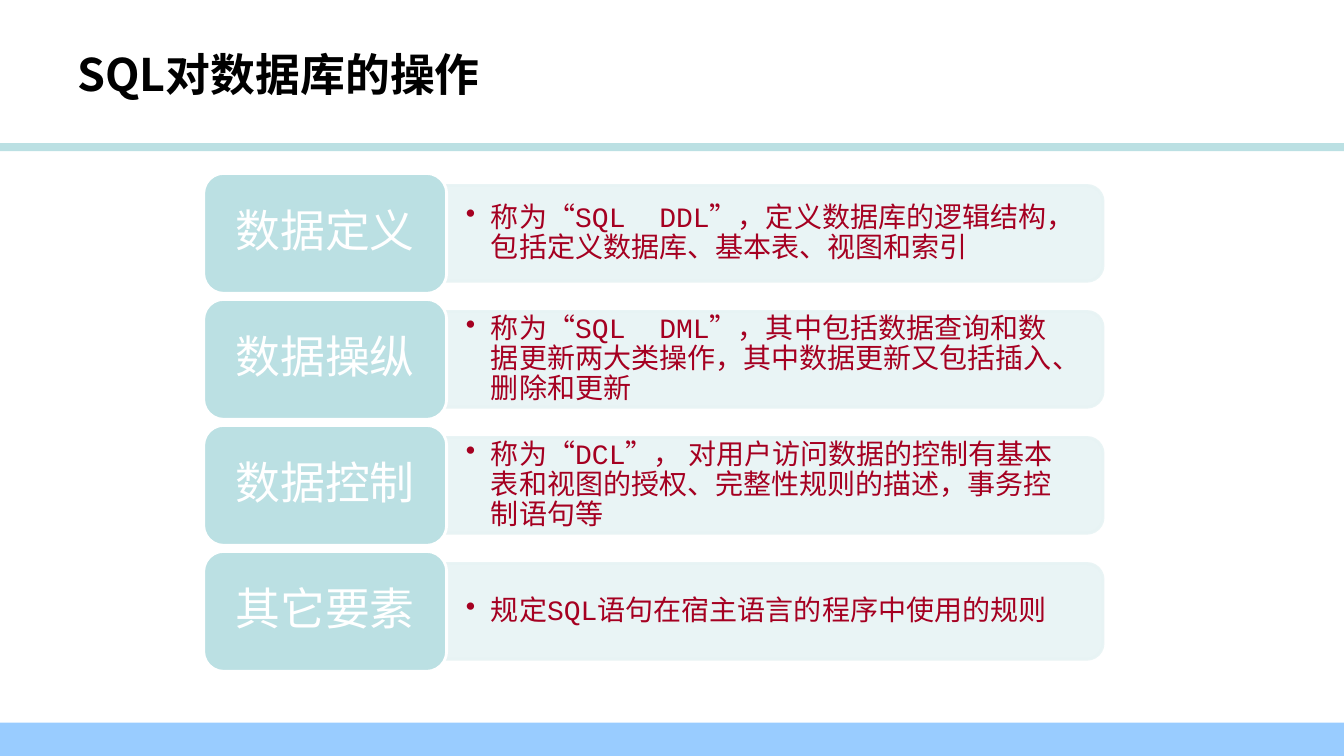
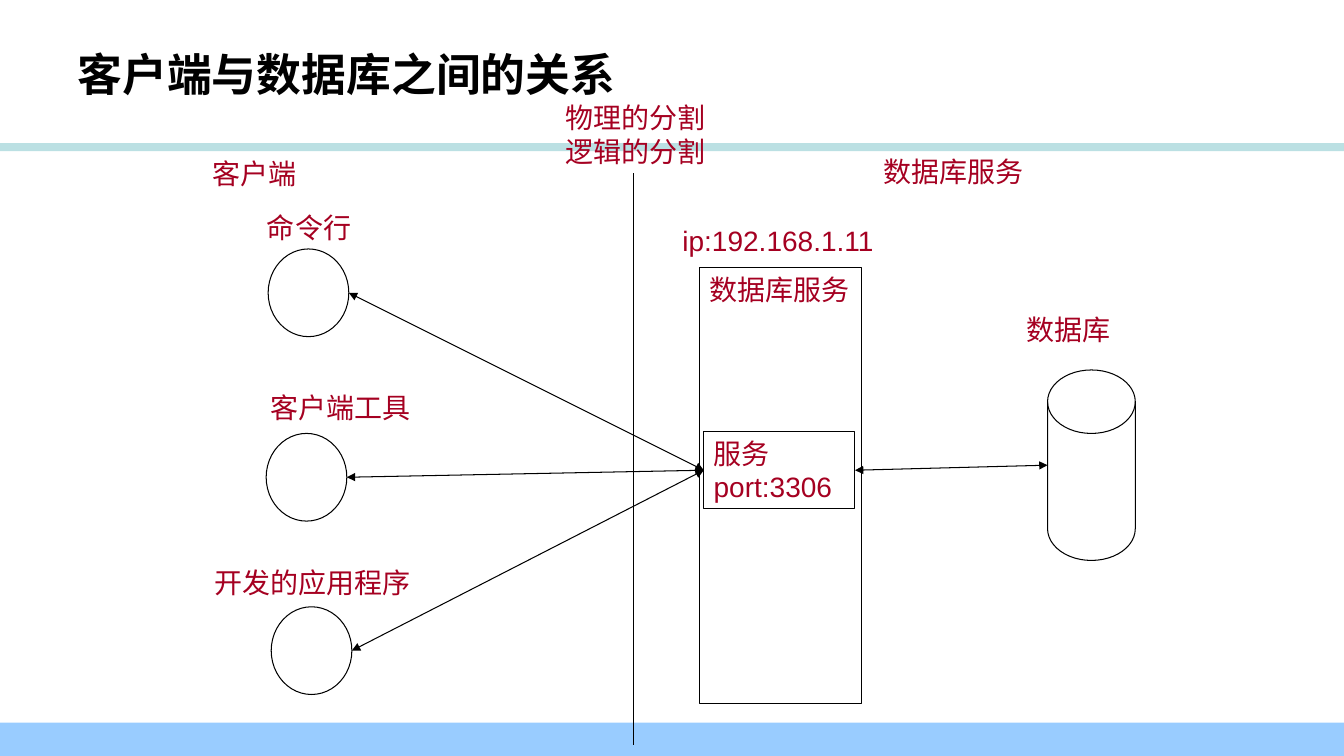
from lxml import etree
from pptx import Presentation
from pptx.dml.color import RGBColor
from pptx.enum import shapes, text
from pptx.oxml import ns
from pptx.util import Inches, Pt

BLACK = RGBColor(0x00, 0x00, 0x00)
WHITE = RGBColor(0xFF, 0xFF, 0xFF)
CRIMSON = RGBColor(0xA5, 0x00, 0x21)
TEAL = RGBColor(0xBB, 0xE0, 0xE3)
PALE_TEAL = RGBColor(0xE7, 0xF3, 0xF4)
SKY = RGBColor(0x99, 0xCC, 0xFF)

CJK = "Noto Sans CJK SC"
LATIN = "Arial"
MONO = "Courier New"
SHAPE = shapes.MSO_SHAPE

OPERATIONS = [
    ("数据定义", "称为“SQL  DDL”，定义数据库的逻辑结构，包括定义数据库、基本表、视图和索引"),
    ("数据操纵", "称为“SQL  DML”，其中包括数据查询和数据更新两大类操作，其中数据更新又包括插入、删除和更新"),
    ("数据控制", "称为“DCL”， 对用户访问数据的控制有基本表和视图的授权、完整性规则的描述，事务控制语句等"),
    ("其它要素", "规定SQL语句在宿主语言的程序中使用的规则"),
]

CLIENTS = [
    ("命令行", (2.55, 2.04, 1.04), (2.66, 2.47)),
    ("客户端工具", (2.58, 3.83, 1.6), (2.64, 4.3)),
    ("开发的应用程序", (2.03, 5.56, 2.17), (2.69, 6.02)),
]

CAPTIONS = [
    ("客户端", 2.01, 1.5, 1.04, 0.44),
    ("数据库服务", 8.66, 1.48, 1.6, 0.44),
    ("物理的分割\n逻辑的分割", 5.51, 0.95, 1.6, 0.77),
    ("数据库", 10.08, 3.05, 1.04, 0.44),
    ("ip:192.168.1.11", 6.67, 2.17, 2.1, 0.44),
]


def write(frame, words, size=20, color=CRIMSON, font=LATIN, bold=False,
          align=text.PP_ALIGN.LEFT, anchor=text.MSO_ANCHOR.TOP, wrap=True):
    frame.text = words
    frame.word_wrap = wrap
    frame.vertical_anchor = anchor
    for paragraph in frame.paragraphs:
        paragraph.alignment = align
        for run in paragraph.runs:
            run.font.size = Pt(size)
            run.font.bold = bold
            run.font.name = font
            run.font.color.rgb = color
            east_asian = etree.Element(ns.qn("a:ea"), typeface=CJK)
            run.font._element.find(ns.qn("a:latin")).addnext(east_asian)


def add_text(slide, words, left, top, width, height, **style):
    box = slide.shapes.add_textbox(Inches(left), Inches(top), Inches(width), Inches(height))
    write(box.text_frame, words, **style)
    return box


def add_block(slide, kind, left, top, width, height, fill=None, line=None, weight=0.75):
    block = slide.shapes.add_shape(kind, Inches(left), Inches(top), Inches(width), Inches(height))
    block.shadow.inherit = False
    if fill is None:
        block.fill.background()
    else:
        block.fill.solid()
        block.fill.fore_color.rgb = fill
    if line is None:
        block.line.fill.background()
    else:
        block.line.color.rgb = line
        block.line.width = Pt(weight)
    return block


def add_line(slide, start, end, arrows=True):
    link = slide.shapes.add_connector(
        shapes.MSO_CONNECTOR.STRAIGHT, *(Inches(length) for length in (*start, *end)))
    link.line.color.rgb = BLACK
    link.line.width = Pt(0.75)
    properties = link._element.spPr
    if arrows:
        outline = properties.find(ns.qn("a:ln"))
        for tip in ("a:headEnd", "a:tailEnd"):
            etree.SubElement(outline, ns.qn(tip), type="triangle")
    etree.SubElement(properties, ns.qn("a:effectLst"))
    return link


def soften(block, opacity):
    for color in block._element.spPr.iter(ns.qn("a:srgbClr")):
        etree.SubElement(color, ns.qn("a:alpha"), val=str(opacity * 1000))


def add_bullet(paragraph, indent):
    properties = paragraph._p.get_or_add_pPr()
    properties.set("marL", str(Inches(indent)))
    properties.set("indent", str(-Inches(indent)))
    etree.SubElement(properties, ns.qn("a:buChar"), char="•")


def add_base(deck, title):
    slide = deck.slides.add_slide(deck.slide_layouts[6])
    add_block(slide, SHAPE.RECTANGLE, 0, 1.42, 13.33, 0.08, TEAL)
    add_block(slide, SHAPE.RECTANGLE, 0, 7.17, 13.33, 0.33, SKY)
    add_text(slide, title, 0.67, 0.3, 10.67, 0.87, size=32, color=BLACK,
             font=CJK, bold=True, anchor=text.MSO_ANCHOR.MIDDLE)
    return slide


def add_operation(slide, name, detail, left, top, height):
    tile_width, panel_width, panel_height = 2.41, 6.59, 0.95
    panel_left = left + 2.33
    middle = top + height / 2
    panel = add_block(slide, SHAPE.ROUND_2_SAME_RECTANGLE,
                      panel_left + (panel_width - panel_height) / 2, middle - panel_width / 2,
                      panel_height, panel_width, PALE_TEAL, PALE_TEAL, 2)
    panel.rotation = 90
    soften(panel, 90)

    body = add_text(slide, detail, panel_left, middle - 0.43, 6.54, 0.86,
                    font=MONO, anchor=text.MSO_ANCHOR.MIDDLE).text_frame
    body.margin_left = body.margin_right = Inches(0.27)
    body.margin_top = body.margin_bottom = Inches(0.14)
    body.paragraphs[0].line_spacing = 0.9
    add_bullet(body.paragraphs[0], 0.25)

    tile = add_block(slide, SHAPE.ROUNDED_RECTANGLE, left, top, tile_width, height, TEAL, WHITE, 2)
    write(tile.text_frame, name, size=32, color=WHITE, font=MONO,
          align=text.PP_ALIGN.CENTER, anchor=text.MSO_ANCHOR.MIDDLE)
    tile.text_frame.paragraphs[0].line_spacing = 0.9


def build_operations(deck):
    slide = add_base(deck, "SQL对数据库的操作")
    for row, (name, detail) in enumerate(OPERATIONS):
        add_operation(slide, name, detail, 2.02, 1.72 + 1.25 * row, 1.19)


def add_server(slide, left, top, width, height):
    server = add_block(slide, SHAPE.FLOWCHART_PROCESS, left, top, width, height, line=BLACK)
    write(server.text_frame, "数据库服务", wrap=False)
    service = add_block(slide, SHAPE.RECTANGLE, left + 0.04, top + 1.63, 1.5, 0.77, line=BLACK)
    write(service.text_frame, "服务\nport:3306")
    return service


def add_client(slide, name, label_box, circle_at, service):
    width, height = 0.8, 0.87
    left, top = circle_at
    add_text(slide, name, *label_box, 0.44, wrap=False)
    add_block(slide, SHAPE.OVAL, left, top, width, height, line=BLACK)
    link = add_line(slide, (left + width, top + height / 2), (6.98, 4.66))
    link.end_connect(service, 1)


def add_database(slide, left, top, width, height, service):
    add_block(slide, SHAPE.FLOWCHART_MAGNETIC_DISK, left, top, width, height, line=BLACK)
    link = add_line(slide, (8.48, 4.66), (left, top + height / 2))
    link.begin_connect(service, 3)


def build_relations(deck):
    slide = add_base(deck, "客户端与数据库之间的关系")
    add_line(slide, (6.28, 1.72), (6.28, 7.39), arrows=False)
    for words, *box in CAPTIONS:
        add_text(slide, words, *box, wrap=False)
    service = add_server(slide, 6.94, 2.65, 1.6, 4.33)
    add_database(slide, 10.39, 3.67, 0.87, 1.89, service)
    for name, label_box, circle_at in CLIENTS:
        add_client(slide, name, label_box, circle_at, service)


def main():
    deck = Presentation()
    deck.slide_width = Inches(13.33)
    deck.slide_height = Inches(7.5)
    build_operations(deck)
    build_relations(deck)
    deck.save("out.pptx")


if __name__ == "__main__":
    main()
